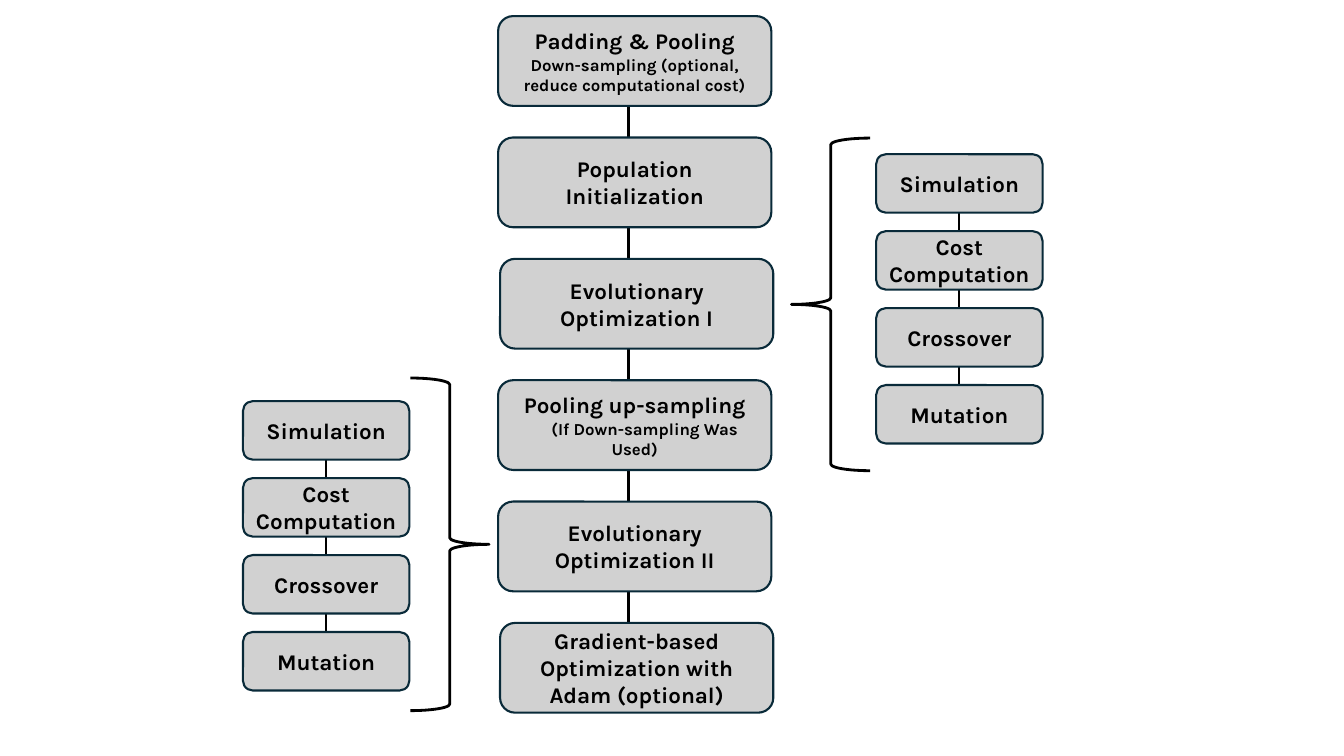
from lxml import etree
from pptx import Presentation
from pptx.dml.color import RGBColor
from pptx.enum import shapes, text
from pptx.oxml import ns
from pptx.util import Inches, Pt

COLORS = {"box": "D1D1D1", "border": "092A39", "ink": "000000"}
FONT = "Karla"

# Content: main steps as (title, note, note first-line indent, left edge)
MAIN_STEPS = [
    ("Padding & Pooling", "Down-sampling (optional, reduce computational cost)", 0, 4.94),
    ("Population Initialization", None, 0, 4.94),
    ("Evolutionary Optimization I", None, 0, 4.96),
    ("Pooling up-sampling", "(If Down-sampling Was Used)", 0.2, 4.94),
    ("Evolutionary Optimization II", None, 0, 4.94),
    ("Gradient-based Optimization with Adam (optional)", None, 0, 4.96),
]
LOOP_STEPS = ["Simulation", "Cost Computation", "Crossover", "Mutation"]
LOOPS = [  # left and top of the first box, brace left and top, brace rotation
    {"left": 8.69, "top": 1.53, "brace": (7.85, 1.37), "rotation": 0},
    {"left": 2.41, "top": 3.98, "brace": (4.07, 3.75), "rotation": 180},
]

# Layout in inches
MAIN_TOP, MAIN_PITCH, MAIN_SIZE, MAIN_AXIS = 0.16, 1.2, (2.71, 0.89), 6.23
LOOP_PITCH, LOOP_SIZE = 0.76, (1.65, 0.58)
MAIN_PITCH = (6.18 - MAIN_TOP) / (len(MAIN_STEPS) - 1)
LOOP_PITCH = 2.29 / (len(LOOP_STEPS) - 1)
BRACE_SIZE = (0.78, 3.3)

presentation = Presentation()
presentation.slide_width, presentation.slide_height = Inches(13.33), Inches(7.5)
slide = presentation.slides.add_slide(presentation.slide_layouts[6])


def paint(color_format, name):
    color_format.rgb = RGBColor.from_string(COLORS[name])


def add_line(x, top, bottom, width):
    line = slide.shapes.add_connector(
        shapes.MSO_CONNECTOR.STRAIGHT, Inches(x), Inches(top), Inches(x), Inches(bottom))
    paint(line.line.color, "ink")
    line.line.width = Pt(width)
    etree.SubElement(line._element.spPr, ns.qn("a:effectLst"))


def add_shape(kind, left, top, size, border, width):
    shape = slide.shapes.add_shape(
        kind, Inches(left), Inches(top), Inches(size[0]), Inches(size[1]))
    shape.shadow.inherit = False
    paint(shape.line.color, border)
    shape.line.width = Pt(width)
    return shape


def write(paragraph, words, size, indent=0):
    paragraph.text = words
    paragraph.alignment = text.PP_ALIGN.CENTER
    if indent:
        paragraph._p.get_or_add_pPr().set("indent", str(Inches(indent)))
    paragraph.font.name, paragraph.font.size, paragraph.font.bold = FONT, Pt(size), True
    paint(paragraph.font.color, "ink")


def add_box(left, top, size, title, side_margin=0.1):
    box = add_shape(shapes.MSO_SHAPE.ROUNDED_RECTANGLE, left, top, size, "border", 1.5)
    box.fill.solid()
    paint(box.fill.fore_color, "box")
    frame = box.text_frame
    frame.word_wrap = True
    frame.vertical_anchor = text.MSO_ANCHOR.MIDDLE
    frame.margin_left = frame.margin_right = Inches(side_margin)
    write(frame.paragraphs[0], title, 16)
    return frame


# Main flow: one line behind evenly spaced boxes
add_line(MAIN_AXIS, 0.6, 6.82, 2)
for row, (title, note, indent, left) in enumerate(MAIN_STEPS):
    frame = add_box(left, MAIN_TOP + row * MAIN_PITCH, MAIN_SIZE, title)
    if note:
        write(frame.add_paragraph(), note, 12, indent)

# Evolution loops, each with its brace
for loop in LOOPS:
    axis = loop["left"] + LOOP_SIZE[0] / 2
    first = loop["top"] + LOOP_SIZE[1] / 2
    add_line(axis, first, first + LOOP_PITCH * (len(LOOP_STEPS) - 1), 1.5)
    for row, title in enumerate(LOOP_STEPS):
        add_box(loop["left"], loop["top"] + row * LOOP_PITCH, LOOP_SIZE, title, 0.05)
    brace = add_shape(shapes.MSO_SHAPE.LEFT_BRACE, *loop["brace"], BRACE_SIZE, "ink", 2)
    brace.fill.background()
    brace.rotation = loop["rotation"]

presentation.save("out.pptx")
